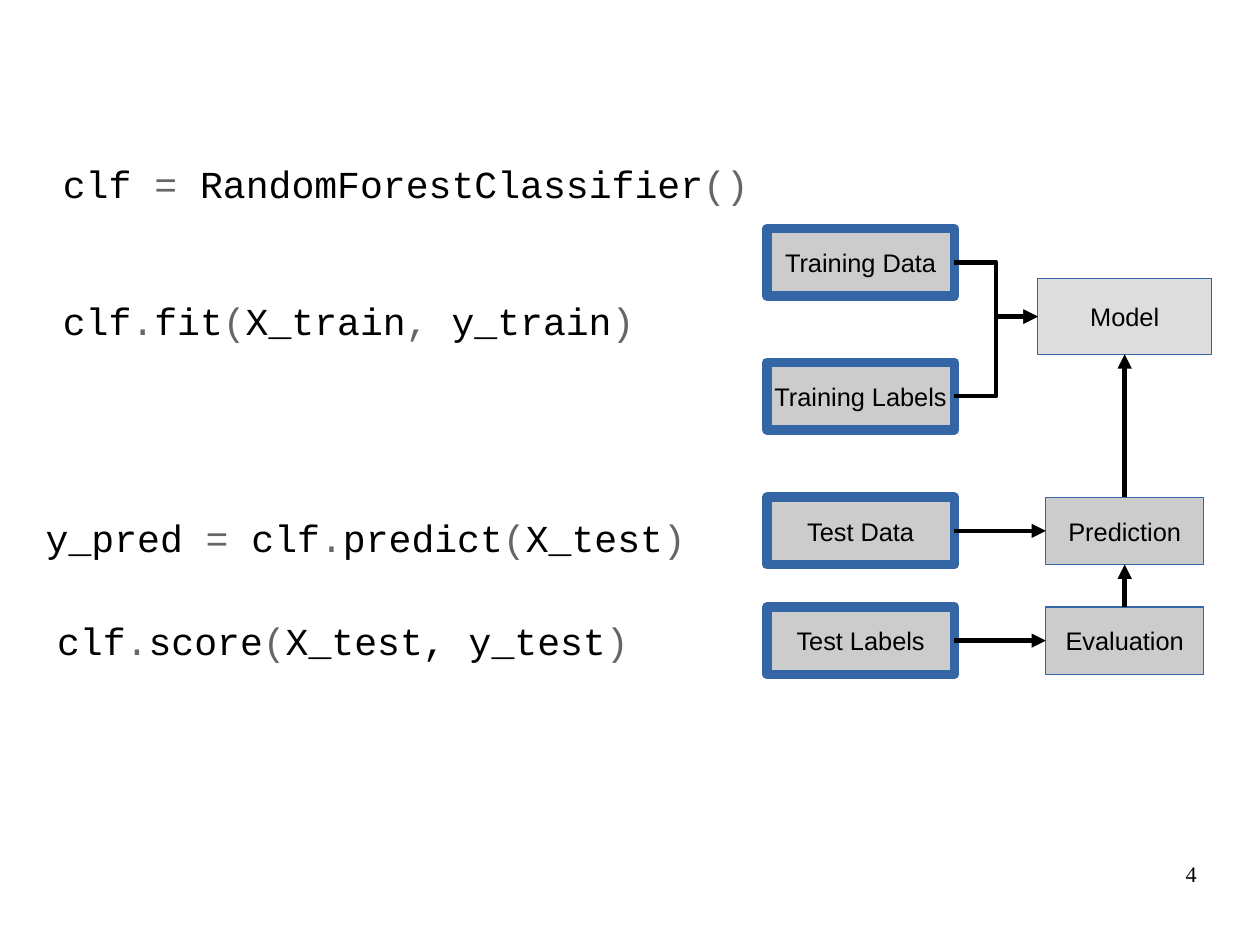
from dataclasses import dataclass

from pptx import Presentation
from pptx.dml.color import RGBColor
from pptx.enum.shapes import MSO_CONNECTOR as Route, MSO_SHAPE
from pptx.enum.text import MSO_ANCHOR, PP_ALIGN
from pptx.oxml.ns import qn
from pptx.shapes.autoshape import Shape
from pptx.slide import Slide
from pptx.text.text import TextFrame
from pptx.util import Inches, Pt
from lxml.etree import SubElement

CM_PER_INCH = 2.54
COLORS = {
    "text": "000000",
    "operator": "666666",
    "box": "CCCCCC",
    "model": "DDDDDD",
    "border": "3465A4",
    "arrow": "000000",
}
TOP, LEFT, BOTTOM, RIGHT = range(4)


@dataclass
class Code:
    """Each line alternates names (even pieces) and operators (odd pieces)."""
    left: float
    top: float
    width: float
    height: float
    lines: list[tuple[str, ...]]


@dataclass
class Stage:
    label: str
    left: float
    top: float
    width: float
    height: float = 0.59
    fill: str = "box"
    border: float = 0


@dataclass
class Flow:
    source: str
    source_side: int
    target: str
    target_side: int
    route: Route = Route.STRAIGHT


CODE = [
    Code(0.55, 1.4, 8.85, 1.6, [
        ("clf ", "=", " RandomForestClassifier", "()"),
        ("clf", ".", "fit", "(", "X_train", ",", " y_train", ")"),
    ]),
    Code(0.4, 4.5, 5.7, 0.6, [
        ("y_pred ", "=", " clf", ".", "predict", "(", "X_test", ")"),
    ]),
    Code(0.5, 5.4, 9.4, 1, [
        ("clf", ".", "score", "(", "X_test, y_test", ")"),
    ]),
]
INPUT_TOPS = {
    "Training Data": 2,
    "Training Labels": 3.17,
    "Test Data": 4.35,
    "Test Labels": 5.31,
}
STAGES = [
    *(Stage(label, 6.71, top, 1.64, border=6) for label, top in INPUT_TOPS.items()),
    Stage("Model", 9.08, 2.44, 1.52, 0.66, "model"),
    Stage("Prediction", 9.15, 4.35, 1.38),
    Stage("Evaluation", 9.15, 5.31, 1.38),
]
FLOWS = [
    Flow("Training Data", RIGHT, "Model", LEFT, Route.ELBOW),
    Flow("Training Labels", RIGHT, "Model", LEFT, Route.ELBOW),
    Flow("Test Data", RIGHT, "Prediction", LEFT),
    Flow("Test Labels", RIGHT, "Evaluation", LEFT),
    Flow("Prediction", TOP, "Model", BOTTOM),
    Flow("Evaluation", TOP, "Prediction", BOTTOM),
]


def color(name: str) -> RGBColor:
    return RGBColor.from_string(COLORS[name])


def add_text_area(slide: Slide, left: float, top: float,
                  width: float, height: float) -> TextFrame:
    """Add a wrapping text box without margins and return its text frame."""
    frame = slide.shapes.add_textbox(
        Inches(left), Inches(top), Inches(width), Inches(height)).text_frame
    frame.word_wrap = True
    frame.margin_left = frame.margin_right = frame.margin_top = frame.margin_bottom = 0
    return frame


def add_code(slide: Slide, code: Code) -> None:
    frame = add_text_area(slide, code.left, code.top, code.width, code.height)
    for number, pieces in enumerate(code.lines):
        line = frame.add_paragraph() if number else frame.paragraphs[0]
        if number:
            line.space_before = Pt(58)
        line.font.name, line.font.size = "Courier New", Pt(24)
        for position, piece in enumerate(pieces):
            run = line.add_run()
            run.text = piece
            run.font.color.rgb = color("operator" if position % 2 else "text")


def add_stage(slide: Slide, stage: Stage) -> Shape:
    box = slide.shapes.add_shape(
        MSO_SHAPE.RECTANGLE, Inches(stage.left), Inches(stage.top),
        Inches(stage.width), Inches(stage.height))
    box.shadow.inherit = False
    box.fill.solid()
    box.fill.fore_color.rgb = color(stage.fill)
    box.line.color.rgb = color("border")
    box.line.width = Pt(stage.border)
    SubElement(box.line._get_or_add_ln(), qn("a:round"))
    frame = box.text_frame
    frame.word_wrap = False
    frame.vertical_anchor = MSO_ANCHOR.MIDDLE
    label = frame.paragraphs[0]
    label.text = stage.label
    label.alignment = PP_ALIGN.CENTER
    label.font.name, label.font.size = "Arial", Pt(16)
    label.font.color.rgb = color("text")
    return box


def add_flow(slide: Slide, flow: Flow, boxes: dict[str, Shape]) -> None:
    arrow = slide.shapes.add_connector(flow.route, 0, 0, 0, 0)
    arrow.begin_connect(boxes[flow.source], flow.source_side)
    arrow.end_connect(boxes[flow.target], flow.target_side)
    arrow.line.color.rgb = color("arrow")
    arrow.line.width = Pt(3)
    line = arrow.line._get_or_add_ln()
    SubElement(line, qn("a:round"))
    SubElement(line, qn("a:tailEnd"), type="triangle")
    SubElement(arrow._element.spPr, qn("a:effectLst"))


def add_page_number(slide: Slide, number: str) -> None:
    page = add_text_area(slide, 7.9, 7.53, 2.57, 0.57).paragraphs[0]
    page.text = number
    page.alignment = PP_ALIGN.RIGHT
    page.font.name, page.font.size = "Times New Roman", Pt(14)
    page.font.color.rgb = color("text")


def main() -> None:
    deck = Presentation()
    deck.slide_width = Inches(28 / CM_PER_INCH)
    deck.slide_height = Inches(21 / CM_PER_INCH)
    slide = deck.slides.add_slide(deck.slide_layouts[6])
    for code in CODE:
        add_code(slide, code)
    boxes = {stage.label: add_stage(slide, stage) for stage in STAGES}
    for flow in FLOWS:
        add_flow(slide, flow, boxes)
    add_page_number(slide, "4")
    deck.save("out.pptx")


if __name__ == "__main__":
    main()
